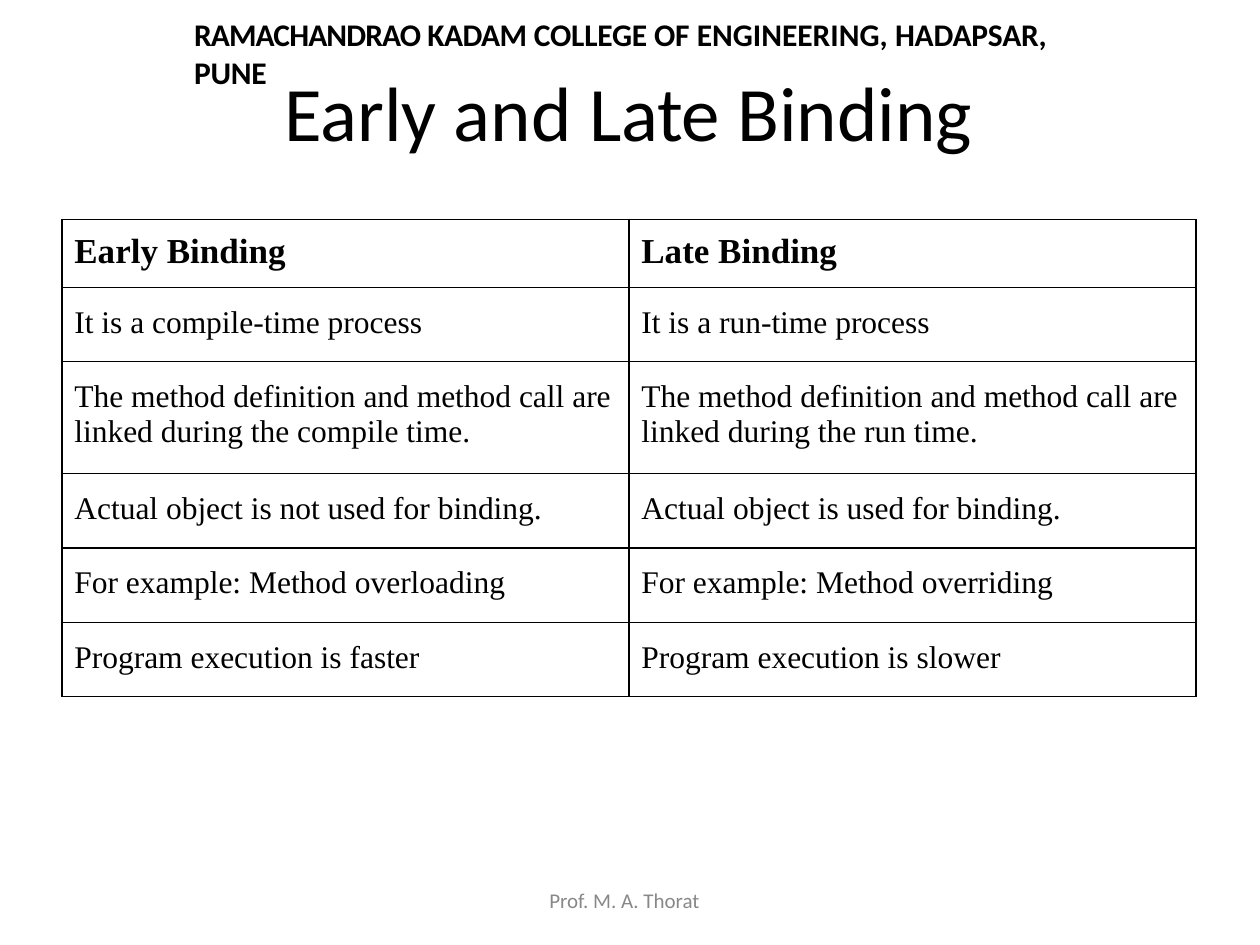
from lxml import etree
from pptx import Presentation
from pptx.dml.color import RGBColor
from pptx.enum.text import MSO_ANCHOR
from pptx.oxml.ns import qn
from pptx.util import Inches, Pt

TOP = MSO_ANCHOR.TOP
BLACK = RGBColor(0x00, 0x00, 0x00)
GRAY = RGBColor(0x88, 0x88, 0x88)
SANS = "Calibri"
SERIF = "Times New Roman"

COLLEGE_RUNS = [
    ("RAMACHANDRAO ", -0.5),
    ("KADAM ", -0.3),
    ("COLLEGE OF", -0.1),
    (" ENGINEERING, ", 0),
    ("HADAPSAR, PUNE", -0.1),
]
TITLE_RUNS = [("Early ", -0.1), ("and ", 0), ("Late ", -0.2), ("Binding", 0)]
FOOTER_RUNS = [("Prof. M. A. Thorat", 0)]

COMPARISON = [
    (["Early Binding"], ["Late Binding"]),
    (["It is a compile-time process"], ["It is a run-time process"]),
    (["The method definition and method call are", "linked during the compile time."],
     ["The method definition and method call are", "linked during the run time."]),
    (["Actual object is not used for binding."], ["Actual object is used for binding."]),
    (["For example: Method overloading"], ["For example: Method overriding"]),
    (["Program execution is faster"], ["Program execution is slower"]),
]
HEADER_HEIGHT = 0.54
LINE_ROW_HEIGHT = 0.59
EXTRA_LINE_HEIGHT = 0.3


def add_run(paragraph, text, font_name, size, color, bold=False, spacing=0):
    """Add one run; spacing is the letter spacing in points."""
    run = paragraph.add_run()
    run.text = text
    run.font.name = font_name
    run.font.size = Pt(size)
    run.font.bold = bold
    run.font.color.rgb = color
    if spacing:
        run.font._element.set("spc", str(round(spacing * 100)))


def set_margins(target, left, top):
    target.margin_left, target.margin_top = Inches(left), Inches(top)
    target.margin_right = target.margin_bottom = 0
    target.vertical_anchor = TOP


def add_text_line(slide, box, runs, size, color=BLACK, bold=False,
                  left=0.01, top=0, space_before=0, line_spacing=None):
    shape = slide.shapes.add_textbox(*map(Inches, box))
    frame = shape.text_frame
    frame.word_wrap = True
    set_margins(frame, left, top)
    paragraph = frame.paragraphs[0]
    paragraph.space_before = Pt(space_before)
    if line_spacing:
        paragraph.line_spacing = Pt(line_spacing)
    for text, spacing in runs:
        add_run(paragraph, text, SANS, size, color, bold, spacing)


def add_cell_borders(cell):
    properties = cell._tc.get_or_add_tcPr()
    for index, side in enumerate(("lnL", "lnR", "lnT", "lnB")):
        line = etree.Element(qn(f"a:{side}"), w=str(Pt(1)))
        fill = etree.SubElement(line, qn("a:solidFill"))
        etree.SubElement(fill, qn("a:srgbClr"), val=str(BLACK))
        properties.insert(index, line)


def fill_cell(cell, lines, is_header):
    set_margins(cell, 0.1, 0.1 if is_header else 0.14)
    cell.fill.background()
    add_cell_borders(cell)
    frame = cell.text_frame
    for index, line in enumerate(lines):
        paragraph = frame.add_paragraph() if index else frame.paragraphs[0]
        add_run(paragraph, line, SERIF, 20 if is_header else 18, BLACK, is_header)


def add_comparison_table(slide, box):
    shape = slide.shapes.add_table(len(COMPARISON), 2, *map(Inches, box))
    table = shape.table
    table.first_row = table.horz_banding = False
    for row_index, row in enumerate(COMPARISON):
        is_header = row_index == 0
        extra_lines = len(row[0]) - 1
        height = HEADER_HEIGHT if is_header else LINE_ROW_HEIGHT + extra_lines * EXTRA_LINE_HEIGHT
        table.rows[row_index].height = Inches(height)
        for column_index, lines in enumerate(row):
            fill_cell(table.cell(row_index, column_index), lines, is_header)


def main():
    presentation = Presentation()
    presentation.slide_width = Inches(10)
    presentation.slide_height = Inches(7.5)
    slide = presentation.slides.add_slide(presentation.slide_layouts[6])
    add_text_line(slide, (2.25, 0.5, 5.51, 0.76), TITLE_RUNS, 44, top=0.01, space_before=1.1)
    add_comparison_table(slide, (0.49, 1.74, 9, 3.8))
    add_text_line(slide, (1.12, 0.06, 7.77, 1.24), COLLEGE_RUNS, 18, bold=True,
                  left=0.42, top=0.06, space_before=1)
    add_text_line(slide, (4.35, 7.07, 1.3, 0.19), FOOTER_RUNS, 12, GRAY, line_spacing=12.4)
    presentation.save("out.pptx")


if __name__ == "__main__":
    main()
